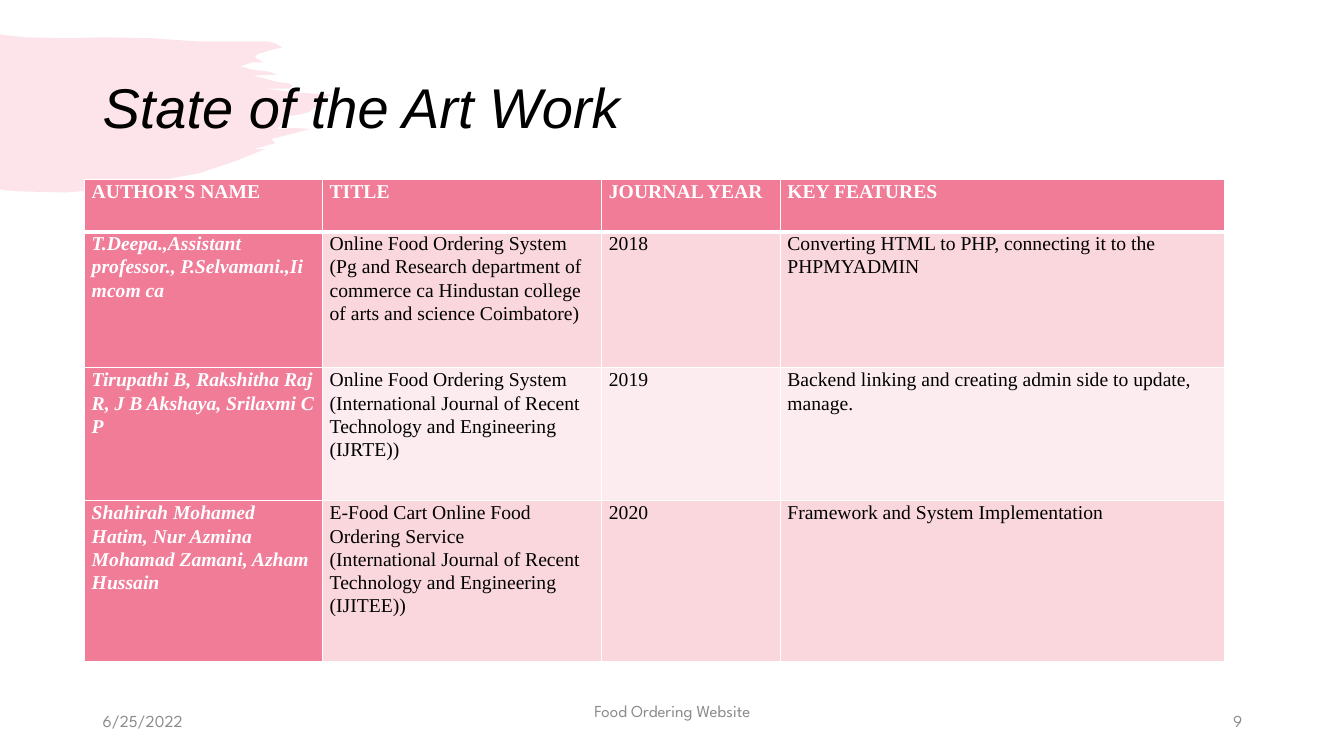
from lxml.etree import SubElement
from pptx import Presentation
from pptx.dml.color import RGBColor
from pptx.enum.text import MSO_ANCHOR, PP_ALIGN
from pptx.oxml import parse_xml
from pptx.oxml.ns import nsdecls, qn
from pptx.util import Pt

PX = 9144  # EMU per px, 100 px to the inch

COLORS = {
    "pink": "F07C98",
    "band_dark": "F9D7DD",
    "band_light": "FCECEF",
    "white": "FFFFFF",
    "black": "000000",
    "grey": "8C8C8C",
}

BRUSH_OUTLINE = [
    (0, 34), (6, 35), (25, 37), (66, 38), (102, 37), (151, 38), (194, 41),
    (248, 41), (264, 41), (273, 43), (280, 47), (271, 49), (255, 54),
    (253, 57), (256, 59), (262, 62), (250, 62), (238, 66), (246, 68),
    (256, 70), (266, 71), (275, 74), (251, 75), (263, 78), (273, 81),
    (280, 82), (288, 83), (290, 85), (287, 88), (284, 88), (263, 88),
    (296, 92), (330, 94), (321, 97), (321, 104), (318, 106), (312, 107),
    (307, 111), (300, 113), (283, 116), (280, 120), (278, 125), (274, 128),
    (291, 127), (308, 128), (269, 138), (273, 142), (252, 148), (263, 148),
    (233, 160), (197, 172), (148, 181), (102, 188), (65, 191), (23, 190),
    (7, 189), (0, 188),
]

COLUMN_WIDTHS = [236, 277, 177, 441]
ROW_HEIGHTS = [52, 135, 132, 159]
HEADINGS = ["AUTHOR’S NAME", "TITLE", "JOURNAL YEAR", "KEY FEATURES"]
PAPERS = [
    ["T.Deepa.,Assistant professor., P.Selvamani.,Ii mcom ca",
     "Online Food Ordering System\n(Pg and Research department of commerce ca "
     "Hindustan college of arts and science Coimbatore)",
     "2018",
     "Converting HTML to PHP, connecting it to the PHPMYADMIN"],
    ["Tirupathi B, Rakshitha Raj R, J B Akshaya, Srilaxmi C P",
     "Online Food Ordering System\n(International Journal of Recent "
     "Technology and Engineering (IJRTE))",
     "2019",
     "Backend linking and creating admin side to update, manage."],
    ["Shahirah Mohamed Hatim, Nur Azmina Mohamad Zamani, Azham Hussain",
     "E-Food Cart Online Food Ordering Service\n(International Journal of "
     "Recent Technology and Engineering (IJITEE))",
     "2020",
     "Framework and System Implementation"],
]


def rgb(name):
    return RGBColor.from_string(COLORS[name])


def set_font(p, name, size, color, bold=False, italic=False):
    p.font.name = name
    p.font.size = Pt(size)
    p.font.color.rgb = rgb(color)
    p.font.bold = bold
    p.font.italic = italic


def add_brush(s):
    builder = s.shapes.build_freeform(*BRUSH_OUTLINE[0], scale=PX)
    builder.add_line_segments(BRUSH_OUTLINE[1:], close=True)
    sp = builder.convert_to_shape()
    sp.shadow.inherit = False
    sp.line.fill.background()
    sp.fill.solid()
    sp.fill.fore_color.rgb = rgb("pink")
    color = sp.fill._xPr.find(".//" + qn("a:srgbClr"))
    SubElement(color, qn("a:alpha"), val="20000")


def add_text(s, box, text, font, size, color, align=PP_ALIGN.LEFT, italic=False):
    tf = s.shapes.add_textbox(*(n * PX for n in box)).text_frame
    tf.word_wrap = True
    tf.vertical_anchor = MSO_ANCHOR.MIDDLE
    p = tf.paragraphs[0]
    p.text = text
    p.alignment = align
    set_font(p, font, size, color, italic=italic)


def set_borders(cell, widths):
    tcPr = cell._tc.get_or_add_tcPr()
    for i, (side, width) in enumerate(widths.items()):
        tcPr.insert(i, parse_xml(
            f'<a:ln{side} {nsdecls("a")} w="{Pt(width)}"><a:solidFill>'
            f'<a:srgbClr val="{COLORS["white"]}"/></a:solidFill></a:ln{side}>'))


def fill_cell(cell, text, row, col):
    header, author = row == 0, col == 0
    strong = header or author
    band = "band_dark" if row % 2 else "band_light"
    cell.fill.solid()
    cell.fill.fore_color.rgb = rgb("pink" if strong else band)
    cell.margin_left = cell.margin_right = 7 * PX
    cell.margin_top = cell.margin_bottom = 0
    cell.text = text
    for p in cell.text_frame.paragraphs:
        p.line_spacing = 1.07
        set_font(p, "Times New Roman", 14, "white" if strong else "black",
                 bold=strong, italic=author and not header)
    set_borders(cell, {"L": 1, "R": 1, "T": 3 if row == 1 else 1,
                       "B": 3 if header else 1})


def add_paper_table(s, left, top):
    rows = [HEADINGS] + PAPERS
    table = s.shapes.add_table(
        len(rows), len(HEADINGS), left * PX, top * PX,
        sum(COLUMN_WIDTHS) * PX, sum(ROW_HEIGHTS) * PX).table
    for column, width in zip(table.columns, COLUMN_WIDTHS):
        column.width = width * PX
    for r, texts in enumerate(rows):
        table.rows[r].height = ROW_HEIGHTS[r] * PX
        for c, text in enumerate(texts):
            fill_cell(table.cell(r, c), text, r, c)


def main():
    prs = Presentation()
    prs.slide_width, prs.slide_height = 1333 * PX, 750 * PX
    s = prs.slides.add_slide(prs.slide_layouts[6])

    # Brush stroke and title
    add_brush(s)
    add_text(s, (92, 33, 1150, 145), "State of the Art Work",
             "Arial", 40, "black", italic=True)

    # Reviewed papers
    add_paper_table(s, 84, 178)

    # Footer
    for box, text, align in [
        ((442, 685, 450, 40), "Food Ordering Website", PP_ALIGN.CENTER),
        ((942, 695, 300, 40), "9", PP_ALIGN.RIGHT),
        ((92, 695, 300, 40), "6/25/2022", PP_ALIGN.LEFT),
    ]:
        add_text(s, box, text, "League Spartan", 12, "grey", align)

    prs.save("out.pptx")


if __name__ == "__main__":
    main()
